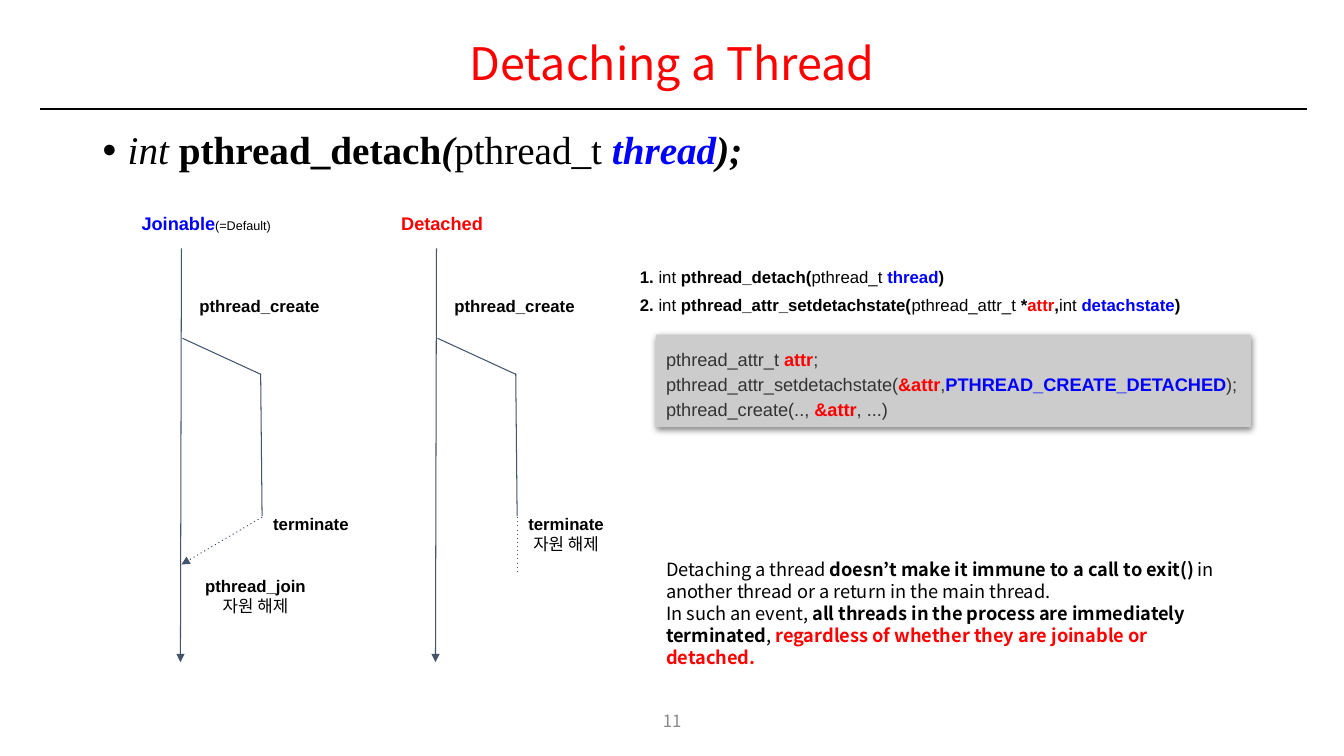
from dataclasses import dataclass

from lxml.etree import SubElement
from pptx import Presentation
from pptx.dml.color import RGBColor as Rgb
from pptx.enum.shapes import MSO_CONNECTOR as Connector, MSO_SHAPE as Preset
from pptx.enum.text import MSO_ANCHOR as Anchor, PP_ALIGN as Align
from pptx.oxml.ns import qn
from pptx.util import Pt


@dataclass(frozen=True)
class Theme:
    black: Rgb = Rgb(0, 0, 0)
    red: Rgb = Rgb(255, 0, 0)
    blue: Rgb = Rgb(0, 0, 255)
    code: Rgb = Rgb(0x33, 0x33, 0x33)
    muted: Rgb = Rgb(0x88, 0x88, 0x88)
    thread: Rgb = Rgb(0x44, 0x54, 0x6A)
    panel: Rgb = Rgb(0xCC, 0xCC, 0xCC)
    sans: str = "Noto Sans CJK KR"
    arial: str = "Arial"
    serif: str = "Times New Roman"
    title_size: int = 32
    signature_size: int = 28
    body_size: int = 13
    label_size: int = 12
    note_size: int = 9


THEME = Theme()
STYLES = {
    "bold": {"bold": True},
    "italic": {"italic": True},
    "sans": {"name": THEME.sans},
    "note": {"size": Pt(THEME.note_size)},
}

TITLE = [[("Detaching a Thread", "red")]]
PAGE = [[("11", "muted")]]
SIGNATURE = [[
    ("int ", "italic"), ("pthread_detach", "bold"), ("(", "bold italic"),
    ("pthread_t ", ""), ("thread", "blue bold italic"), (");", "bold italic"),
]]
CREATE = [[("pthread_create", "bold")]]
RELEASE = [("자원 해제", "sans")]
THREADS = [
    {
        "left": 129.6,
        "heading": ([[("Joinable", "blue bold"), ("(=Default)", "note")]], 81.4, 131.8),
        "terminate": [[("terminate", "bold")]],
        "ending": (0, 403.2),
        "joins": True,
    },
    {
        "left": 311.8,
        "heading": ([[("Detached", "red bold")]], 270.7, 90),
        "terminate": [[("terminate", "bold")], RELEASE],
        "ending": (57.6, 410.4),
        "joins": False,
    },
]
JOIN = [[("pthread_join", "bold")], RELEASE]
CALLS = [
    [("1.", "bold"), (" int ", ""), ("pthread_detach(", "bold"),
     ("pthread_t ", ""), ("thread", "blue bold"), (")", "bold")],
    [("2.", "bold"), (" int ", ""), ("pthread_attr_setdetachstate(", "bold"),
     ("pthread_attr_t", ""), (" *", "bold"), ("attr", "red bold"), (",", "bold"),
     ("int ", ""), ("detachstate", "blue bold"), (")", "bold")],
]
CODE = [
    [("pthread_attr_t ", "code"), ("attr", "red bold"), (";", "code")],
    [("pthread_attr_setdetachstate(", "code"), ("&attr", "red bold"), (",", "code"),
     ("PTHREAD_CREATE_DETACHED", "blue bold"), (");", "code")],
    [("pthread_create(.., ", "code"), ("&attr", "red bold"), (", ...)", "code")],
]
WARNING = [
    [("Detaching a thread ", ""),
     ("doesn’t make it immune to a call to exit()", "bold"),
     (" in another thread or a return in the main thread.", "")],
    [("In such an event, ", ""),
     ("all threads in the process are immediately", "bold")],
    [("terminated", "bold"), (", ", ""),
     ("regardless of whether they are joinable or detached.", "red bold")],
]


def place(part, left, top, width, height):
    part.left, part.top, part.width, part.height = map(Pt, (left, top, width, height))


def write(part, paragraphs, size, face, align=Align.LEFT, spacing=None, gap=0,
          anchor=Anchor.TOP, inset=7.2, bullet=None):
    frame = part.text_frame
    layout = {
        "word_wrap": True, "vertical_anchor": anchor,
        "margin_left": Pt(7.2), "margin_right": Pt(7.2),
        "margin_top": Pt(inset), "margin_bottom": Pt(inset),
    }
    for key, value in layout.items():
        setattr(frame, key, value)
    for index, runs in enumerate(paragraphs):
        paragraph = frame.add_paragraph() if index else frame.paragraphs[0]
        paragraph.alignment = align
        paragraph.line_spacing = spacing
        paragraph.space_before = Pt(gap if index else 0)
        if bullet:
            props = paragraph._p.get_or_add_pPr()
            props.set("marL", str(Pt(18)))
            props.set("indent", str(Pt(-18)))
            SubElement(SubElement(props, qn("a:buClr")), qn("a:srgbClr"), val=str(THEME.black))
            SubElement(props, qn("a:buFont"), typeface=THEME.arial)
            SubElement(props, qn("a:buChar"), char=bullet)
        for words, style in runs:
            run = paragraph.add_run()
            run.text = words
            formats = {"size": Pt(size), "name": face, "bold": False, "italic": False}
            color = THEME.black
            for word in style.split():
                if word in STYLES:
                    formats.update(STYLES[word])
                else:
                    color = getattr(THEME, word)
            for key, value in formats.items():
                setattr(run.font, key, value)
            run.font.color.rgb = color
            SubElement(run._r.get_or_add_rPr(), qn("a:ea"), typeface=formats["name"])


def add_text(slide, box, paragraphs, size, face, **options):
    part = slide.shapes.add_textbox(*map(Pt, box))
    write(part, paragraphs, size, face, **options)


def add_line(slide, start, end, color=THEME.thread, weight=0.75, dotted=False, arrow=False):
    connector = slide.shapes.add_connector(Connector.STRAIGHT, *map(Pt, (*start, *end)))
    connector.line.color.rgb = color
    connector.line.width = Pt(weight)
    outline = connector.line._get_or_add_ln()
    if dotted:
        SubElement(outline, qn("a:prstDash"), val="dot")
    if arrow:
        SubElement(outline, qn("a:tailEnd"), type="triangle")
    SubElement(connector._element.spPr, qn("a:effectLst"))


def add_thread(slide, thread):
    left = thread["left"]
    label = {"size": THEME.label_size, "face": THEME.arial, "align": Align.CENTER}
    heading, heading_left, heading_width = thread["heading"]
    add_line(slide, (left, 177.5), (left - 0.7, 473), arrow=True)
    add_line(slide, (left + 0.7, 241.6), (left + 56.9, 267.5))
    add_line(slide, (left + 56.6, 266.8), (left + 57.6, 368.6))
    end_x, end_y = thread["ending"]
    add_line(slide, (left + 57.6, 369.4), (left + end_x, end_y),
             dotted=True, arrow=thread["joins"])
    add_text(slide, (left - 0.7, 203.8, 113, 28.8), CREATE, **label)
    add_text(slide, (left + 53.3, 360, 78.5, 28.8), thread["terminate"], **label)
    add_text(slide, (heading_left, 144.7, heading_width, 30.2), heading,
             **{**label, "size": THEME.body_size})
    if thread["joins"]:
        add_text(slide, (left + 7.9, 403.9, 90, 43.9), JOIN, **label)


def add_code_panel(slide):
    panel = slide.shapes.add_shape(Preset.RECTANGLE, *map(Pt, (468.7, 239, 424.8, 66.2)))
    panel.fill.solid()
    panel.fill.fore_color.rgb = THEME.panel
    panel.line.fill.background()
    panel.shadow.inherit = False
    effects = panel._element.spPr.find(qn("a:effectLst"))
    shadow = SubElement(effects, qn("a:outerShdw"), blurRad=str(Pt(4.5)),
                        dist=str(Pt(1.5)), dir="5400000", rotWithShape="0")
    tint = SubElement(shadow, qn("a:srgbClr"), val=str(THEME.black))
    SubElement(tint, qn("a:alpha"), val="50000")
    write(panel, CODE, THEME.body_size, THEME.arial, align=Align.JUSTIFY, spacing=1.15)


def main():
    deck = Presentation()
    deck.slide_width, deck.slide_height = Pt(960), Pt(540)
    slide = deck.slides.add_slide(deck.slide_layouts[5])
    title = slide.shapes.title
    place(title, 66.2, 20.9, 828, 52.6)
    write(title, TITLE, THEME.title_size, THEME.sans, align=Align.CENTER,
          spacing=0.9, anchor=Anchor.MIDDLE, inset=3.6)
    add_text(slide, (66.2, 90, 828, 41.8), SIGNATURE, THEME.signature_size,
             THEME.serif, spacing=0.9, inset=3.6, bullet="•")
    add_line(slide, (28.8, 77.8), (933.8, 77.8), THEME.black, 1.5)
    add_text(slide, (372.2, 500.4, 216, 28.8), PAGE, THEME.label_size, THEME.sans,
             align=Align.CENTER, anchor=Anchor.MIDDLE, inset=3.6)
    for thread in THREADS:
        add_thread(slide, thread)
    add_text(slide, (450, 183.6, 427.7, 68.4), CALLS, THEME.label_size, THEME.arial, gap=5)
    add_code_panel(slide)
    add_text(slide, (468.7, 391.7, 420.5, 77.8), WARNING, THEME.body_size, THEME.sans,
             spacing=Pt(15.7))
    deck.save("out.pptx")


if __name__ == "__main__":
    main()
